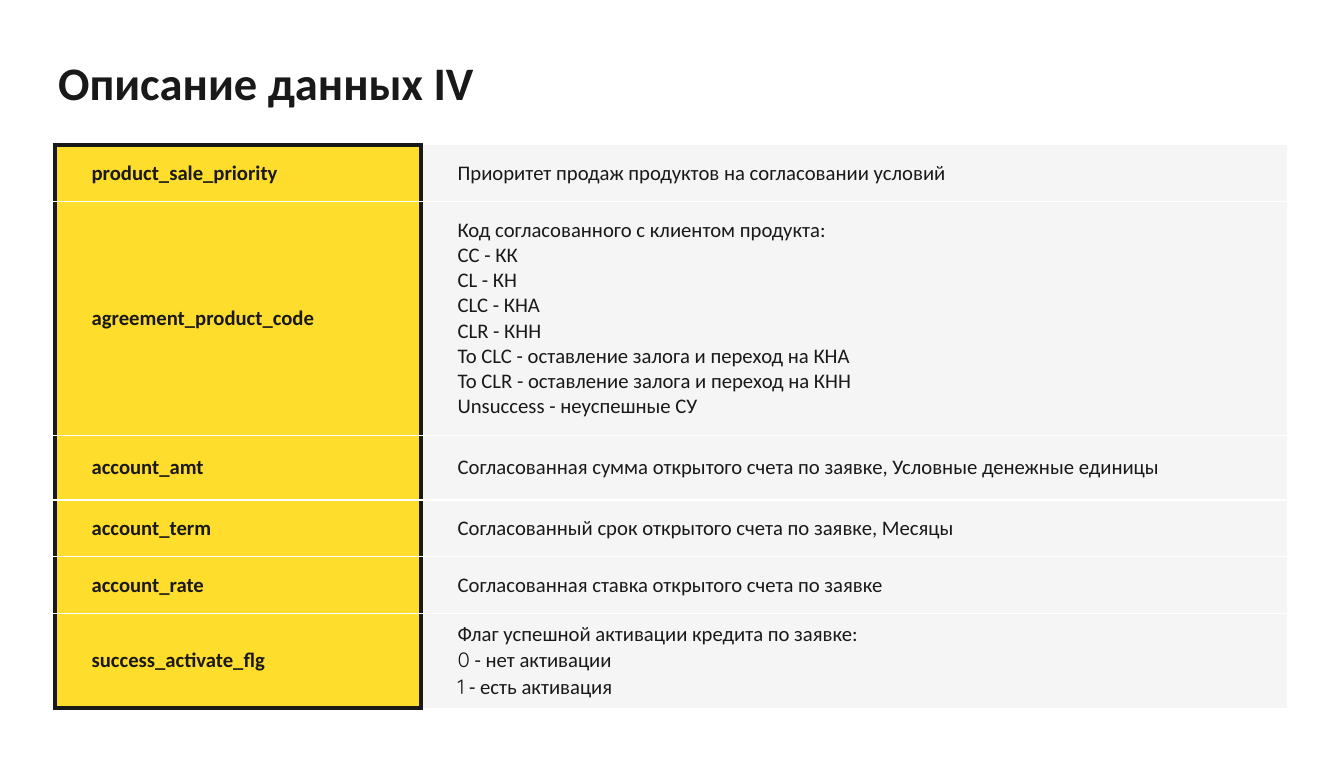
from dataclasses import dataclass

from lxml import etree
from pptx import Presentation
from pptx.dml.color import RGBColor
from pptx.enum import text
from pptx.oxml import ns
from pptx import util as u

PX = 9000
PLAIN = "{2D5ABB26-0587-4C30-8999-92F81FD0307C}"


@dataclass(frozen=True)
class Theme:
    """Colours, fonts and type sizes of the slide."""
    ink: str = "1A1919"
    key: str = "FFDD2C"
    pale: str = "F5F5F6"
    rule: str = "FFFFFF"
    font: str = "Calibri"
    digit: str = "Quicksand"
    head: int = 54
    body: int = 24
    thick: float = 6
    thin: float = 1.5


LOOK = Theme()
COLS = [599, 1418]
ROWS = [
    (93, "product_sale_priority",
     [["Приоритет продаж продуктов на согласовании условий"]]),
    (382, "agreement_product_code",
     [["Код согласованного с клиентом продукта:"],
      ["CC - КК"],
      ["CL - КН"],
      ["CLC - КНА"],
      ["CLR - КНН"],
      ["To CLC - оставление залога и переход на КНА"],
      ["To CLR - оставление залога и переход на КНН"],
      ["Unsuccess - неуспешные СУ"]]),
    (106, "account_amt",
     [["Согласованная сумма открытого счета по заявке, Условные денежные единицы"]]),
    (93, "account_term",
     [["Согласованный срок открытого счета по заявке, Месяцы"]]),
    (93, "account_rate",
     [["Согласованная ставка открытого счета по заявке"]]),
    (154, "success_activate_flg",
     [["Флаг успешной активации кредита по заявке:"],
      ["0", " - нет активации"],
      ["1", " - есть активация"]]),
]


def px(n):
    """Turn px into EMU."""
    return u.Emu(n * PX)


def add_run(para, words, size, bold):
    """Add one styled run, with digits in their own font."""
    run = para.add_run()
    run.text = words
    font = run.font
    font.name = LOOK.digit if words.isdigit() else LOOK.font
    font.size = u.Pt(size)
    font.bold = bold
    font.color.rgb = RGBColor.from_string(LOOK.ink)


def add_lines(frame, lines, size, bold):
    """Write lines of runs as left-aligned paragraphs."""
    for i, line in enumerate(lines):
        para = frame.add_paragraph() if i else frame.paragraphs[0]
        para.alignment = text.PP_ALIGN.LEFT
        for words in line:
            add_run(para, words, size, bold)


def set_title(slide, words):
    """Place and fill the title."""
    title = slide.shapes.title
    title.left, title.top, title.width, title.height = map(px, (95, 83, 913, 102))
    frame = title.text_frame
    frame.margin_left = frame.margin_right = 0
    frame.margin_top = frame.margin_bottom = 0
    frame.vertical_anchor = text.MSO_ANCHOR.MIDDLE
    add_lines(frame, [[words]], LOOK.head, True)


def set_edges(cell, edges):
    """Draw the cell borders given as side and weight."""
    props = cell._tc.get_or_add_tcPr()
    for i, (side, wide) in enumerate(edges):
        line = etree.Element(ns.qn("a:ln" + side), w=str(u.Pt(wide)))
        fill = etree.SubElement(line, ns.qn("a:solidFill"))
        tone = LOOK.ink if wide == LOOK.thick else LOOK.rule
        etree.SubElement(fill, ns.qn("a:srgbClr"), val=tone)
        props.insert(i, line)


def fill_cell(cell, lines, tone, bold, edges):
    """Format and fill one table cell."""
    cell.margin_left, cell.margin_right = px(60), px(16)
    cell.margin_top = cell.margin_bottom = px(8)
    cell.vertical_anchor = text.MSO_ANCHOR.MIDDLE
    cell.fill.solid()
    cell.fill.fore_color.rgb = RGBColor.from_string(tone)
    add_lines(cell.text_frame, lines, LOOK.body, bold)
    set_edges(cell, edges)


def add_grid(slide):
    """Add the table of field names and their meanings."""
    high = sum(row[0] for row in ROWS)
    box = map(px, (90, 237, sum(COLS), high))
    grid = slide.shapes.add_table(len(ROWS), len(COLS), *box).table
    grid.first_row = grid.horz_banding = False
    grid._tbl.tblPr.find(ns.qn("a:tableStyleId")).text = PLAIN
    for col, wide in zip(grid.columns, COLS):
        col.width = px(wide)
    thick, thin = LOOK.thick, LOOK.thin
    last = len(ROWS) - 1
    for i, (tall, name, lines) in enumerate(ROWS):
        grid.rows[i].height = px(tall)
        top = thin if i else thick
        base = thin if i < last else thick
        frame = [("L", thick), ("R", thick), ("T", top), ("B", base)]
        fill_cell(grid.cell(i, 0), [[name]], LOOK.key, True, frame)
        inner = [("L", thick)]
        if i:
            inner.append(("T", thin))
        if i < last:
            inner.append(("B", thin))
        fill_cell(grid.cell(i, 1), lines, LOOK.pale, False, inner)


def main():
    """Build the slide and save it."""
    deck = Presentation()
    deck.slide_width, deck.slide_height = px(2200), px(1240)
    slide = deck.slides.add_slide(deck.slide_layouts[5])
    set_title(slide, "Описание данных IV")
    add_grid(slide)
    deck.save("out.pptx")


if __name__ == "__main__":
    main()
